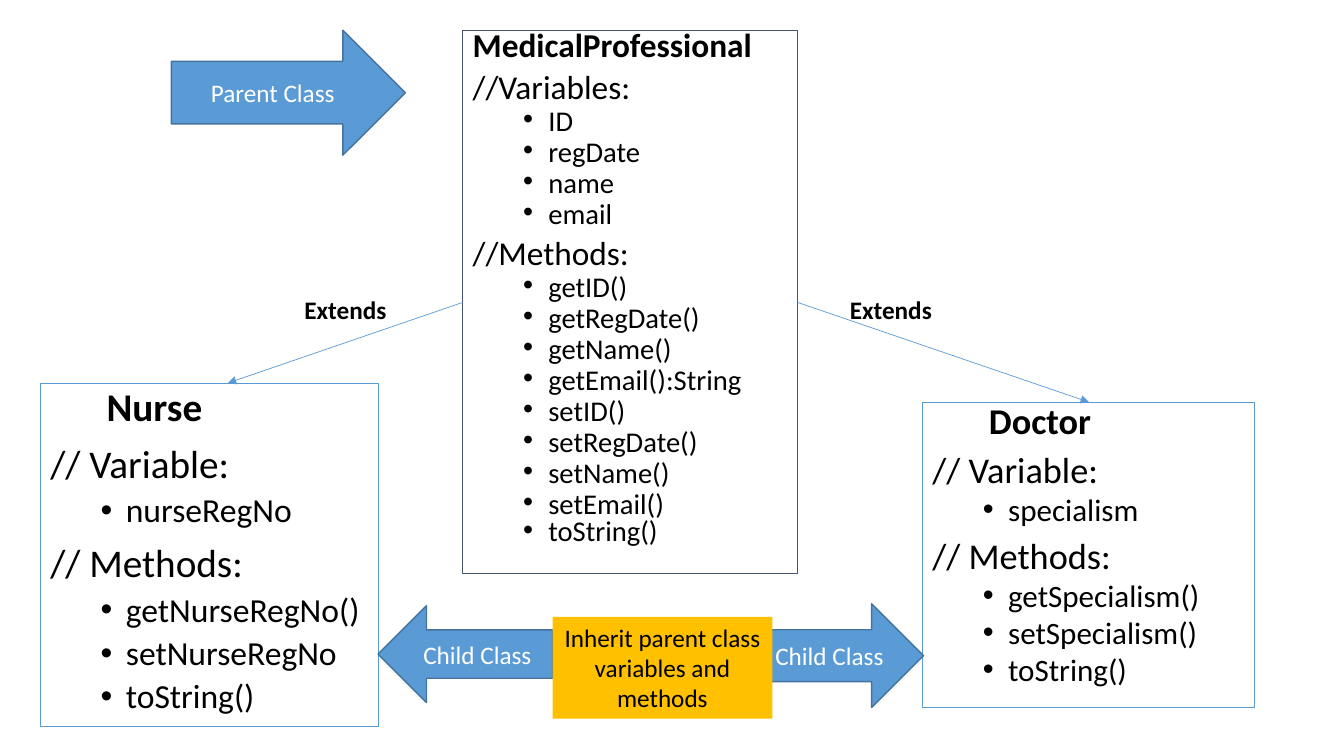
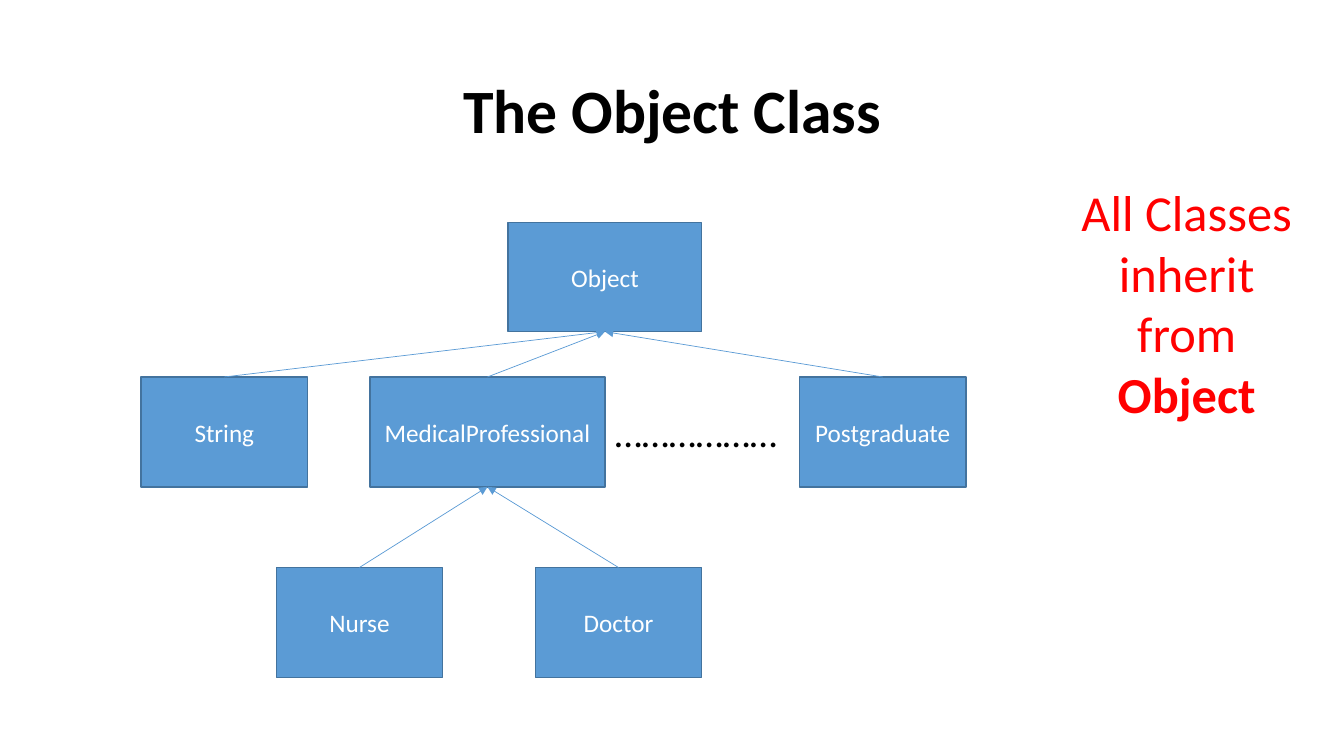
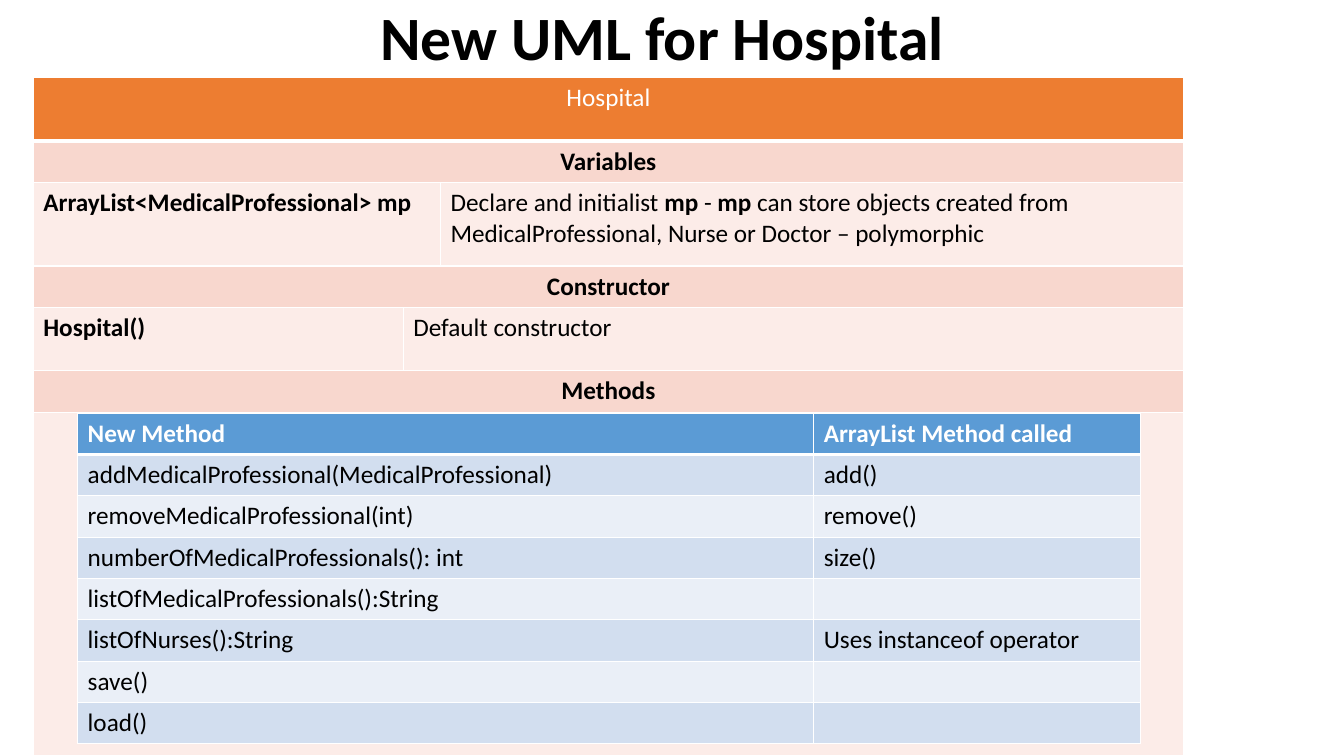
"""Build three slides on class inheritance in a hospital example."""
from dataclasses import dataclass

from pptx import Presentation
from pptx import util as u
from pptx.dml import color
from pptx.enum import shapes, text
from pptx.oxml import ns, xmlchemy


@dataclass(frozen=True)
class Theme:
    font: str = "Calibri"
    black: str = "000000"
    white: str = "FFFFFF"
    red: str = "FF0000"
    amber: str = "FFC000"
    blue: str = "5B9BD5"
    blue_edge: str = "43739E"
    slate: str = "44546A"
    blue_bands: tuple = ("D2DEEF", "EAEFF7")
    orange: str = "ED7D31"
    orange_bands: tuple = ("F8D7CE", "FCECE8")
    title: float = 44
    callout: float = 36
    heading: float = 28
    body: float = 18


THEME = Theme()
CENTER = text.PP_ALIGN.CENTER
MIDDLE = text.MSO_ANCHOR.MIDDLE
TOP = text.MSO_ANCHOR.TOP
SHAPE = shapes.MSO_SHAPE


def rgb(value):
    return color.RGBColor.from_string(value)


def add_xml(parent, tag, **attributes):
    element = xmlchemy.OxmlElement(tag)
    for name, value in attributes.items():
        element.set(name, str(value))
    parent.append(element)
    return element


class Deck:
    def __init__(self, theme):
        self.theme = theme
        self.presentation = Presentation()
        self.presentation.slide_width = u.Inches(13.33)
        self.presentation.slide_height = u.Inches(7.5)
        self.slide = None

    def new_slide(self):
        layout = self.presentation.slide_layouts[6]
        self.slide = self.presentation.slides.add_slide(layout)

    def add_text(self, paragraph, content, size=None, ink=None, bold=False, align=None):
        """Add content, where parts between asterisks are bold."""
        paragraph.alignment = align
        for index, part in enumerate(content.split("*")):
            if part:
                run = paragraph.add_run()
                run.text = part
                run.font.name = self.theme.font
                run.font.size = u.Pt(size or self.theme.body)
                run.font.bold = bold or index % 2 == 1
                run.font.color.rgb = rgb(ink or self.theme.black)

    def label(self, place, content, anchor=TOP, wrap=True, spacing=None, **style):
        box = self.slide.shapes.add_textbox(*map(u.Inches, place))
        frame = box.text_frame
        frame.word_wrap = wrap
        frame.vertical_anchor = anchor
        paragraph = frame.paragraphs[0]
        paragraph.line_spacing = spacing
        self.add_text(paragraph, content, **style)

    def title(self, place, content):
        self.label(place, content, MIDDLE, spacing=0.9,
                   size=self.theme.title, bold=True, align=CENTER)

    def shape(self, kind, place, fill=None, edge=None, width=1, anchor=MIDDLE):
        shape = self.slide.shapes.add_shape(kind, *map(u.Inches, place))
        shape.shadow.inherit = False
        if fill:
            shape.fill.solid()
            shape.fill.fore_color.rgb = rgb(fill)
        else:
            shape.fill.background()
        if edge:
            shape.line.color.rgb = rgb(edge)
            shape.line.width = u.Pt(width)
        else:
            shape.line.fill.background()
        shape.text_frame.word_wrap = True
        shape.text_frame.vertical_anchor = anchor
        return shape

    def node(self, place, content, kind=SHAPE.RECTANGLE):
        shape = self.shape(kind, place, self.theme.blue, self.theme.blue_edge)
        self.add_text(shape.text_frame.paragraphs[0], content,
                      ink=self.theme.white, align=CENTER)
        return shape

    def note(self, place, content):
        shape = self.shape(SHAPE.RECTANGLE, place, self.theme.amber, anchor=TOP)
        self.add_text(shape.text_frame.paragraphs[0], content, align=CENTER)

    def class_box(self, place, name, sections, size, spacing, edge, name_indent=0):
        """Draw a class with its name, then headed lists of members."""
        frame = self.shape(SHAPE.RECTANGLE, place, None, edge, 0.75, TOP).text_frame

        def line(paragraph, content, points, before, bold=False):
            paragraph.line_spacing = spacing
            paragraph.space_before = u.Pt(before)
            self.add_text(paragraph, content, points, bold=bold,
                          align=text.PP_ALIGN.LEFT)
            return paragraph._p.get_or_add_pPr()

        heading = line(frame.paragraphs[0], name, size, 10, True)
        heading.set("marL", str(u.Inches(name_indent)))
        for section, members in sections.items():
            line(frame.add_paragraph(), section, size, 10)
            for member in members:
                properties = line(frame.add_paragraph(), member,
                                  round(size * 6 / 7, 1), 5)
                properties.set("marL", str(u.Inches(0.75)))
                properties.set("indent", str(u.Inches(-0.25)))
                add_xml(properties, "a:buFont", typeface="Arial")
                add_xml(properties, "a:buChar", char="•")
        return frame

    def arrow(self, start=(0, 0), end=(0, 0)):
        connector = self.slide.shapes.add_connector(
            shapes.MSO_CONNECTOR.STRAIGHT, *map(u.Inches, (*start, *end)))
        connector.line.color.rgb = rgb(self.theme.blue)
        connector.line.width = u.Pt(0.5)
        properties = connector._element.spPr
        add_xml(properties.find(ns.qn("a:ln")), "a:tailEnd", type="triangle")
        add_xml(properties, "a:effectLst")
        return connector

    def inherit(self, child, parent):
        connector = self.arrow()
        connector.begin_connect(child, 0)
        connector.end_connect(parent, 2)

    def table(self, place, columns, rows):
        frame = self.slide.shapes.add_table(
            len(rows), len(columns), *map(u.Inches, (*place, sum(columns), sum(rows))))
        table = frame.table
        table.first_row = table.horz_banding = False
        for column, width in zip(table.columns, columns):
            column.width = u.Inches(width)
        for row, height in zip(table.rows, rows):
            row.height = u.Inches(height)
        return table

    def paint_row(self, table, index, fill):
        """Fill a row and rule it in white, heavier below the header."""
        for cell in table.rows[index].cells:
            properties = cell._tc.get_or_add_tcPr()
            for side in "LRTB":
                heavy = (index, side) in ((0, "B"), (1, "T"))
                border = add_xml(properties, f"a:ln{side}", w=u.Pt(3 if heavy else 1))
                solid = add_xml(border, "a:solidFill")
                add_xml(solid, "a:srgbClr", val=self.theme.white)
            cell.fill.solid()
            cell.fill.fore_color.rgb = rgb(fill)

    def cell_text(self, cell, content, **style):
        self.add_text(cell.text_frame.paragraphs[0], content, **style)


def inheritance_slide(deck):
    theme = deck.theme
    deck.new_slide()
    deck.class_box(
        (0.4, 3.8, 3.35, 3.41), "Nurse",
        {"// Variable:": ["nurseRegNo"],
         "// Methods:": ["getNurseRegNo()", "setNurseRegNo", "toString()"]},
        theme.heading, 0.9, theme.blue, 0.56)
    deck.class_box(
        (9.15, 3.99, 3.29, 3.03), "Doctor",
        {"// Variable:": ["specialism"],
         "// Methods:": ["getSpecialism()", "setSpecialism()", "toString()"]},
        25.9, 0.8, theme.blue, 0.56)
    parent = deck.class_box(
        (4.59, 0.3, 3.32, 5.39), "MedicalProfessional",
        {"//Variables:": ["ID", "regDate", "name", "email"],
         "//Methods:": ["getID()", "getRegDate()", "getName()", "getEmail():String",
                        "setID()", "setRegDate()", "setName()", "setEmail()",
                        "toString()"]},
        23.8, 0.7, theme.slate)
    last_member = parent.paragraphs[-1]
    last_member.line_spacing = 0.8
    last_member.space_before = u.Pt(0)

    deck.node((1.7, 0.3, 2.32, 1.24), "Parent Class", SHAPE.RIGHT_ARROW)
    deck.node((3.75, 6.01, 1.73, 0.96), "Child Class", SHAPE.LEFT_ARROW)
    deck.node((7.55, 5.99, 1.61, 1.03), "Child Class", SHAPE.RIGHT_ARROW)
    deck.arrow((4.59, 3), (2.26, 3.8))
    deck.arrow((7.91, 3), (10.8, 3.99))
    for left in (2.92, 8.33):
        deck.label((left, 2.87, 1.02, 0.4), "Extends", wrap=False, bold=True)
    deck.note((5.48, 6.12, 2.18, 1.01), "Inherit parent class variables and methods")


def object_slide(deck):
    theme = deck.theme
    deck.new_slide()
    deck.title((0.92, 0.4, 11.5, 1.45), "The Object Class")
    deck.label((6, 4.05, 2.14, 0.69), "………………", spacing=0.9, size=theme.heading)
    root = deck.node((5.04, 2.21, 1.92, 1.08), "Object")
    children = {
        name: deck.node((left, 3.74, width, 1.09), name)
        for name, left, width in (("String", 1.4, 1.65),
                                  ("MedicalProfessional", 3.67, 2.33),
                                  ("Postgraduate", 7.93, 1.65))}
    grandchildren = [deck.node((left, 5.63, 1.65, 1.09), name)
                     for name, left in (("Nurse", 2.74), ("Doctor", 5.31))]
    for child in children.values():
        deck.inherit(child, root)
    for grandchild in grandchildren:
        deck.inherit(grandchild, children["MedicalProfessional"])
    deck.label((10.55, 1.75, 2.44, 2.52), "All Classes inherit from *Object*",
               size=theme.callout, ink=theme.red, align=CENTER)


def hospital_slide(deck):
    theme = deck.theme
    deck.new_slide()
    deck.title((0.82, 0.05, 11.5, 0.7), "New UML for Hospital")

    hospital = deck.table((0.33, 0.77), (3.67, 0.37, 7.37),
                          (0.63, 0.41, 0.83, 0.41, 0.63, 0.41, 3.41))
    deck.paint_row(hospital, 0, theme.orange)
    for index in range(1, 7):
        deck.paint_row(hospital, index, theme.orange_bands[(index - 1) % 2])
    for first, last in (((0, 0), (0, 2)), ((1, 0), (1, 2)), ((2, 0), (2, 1)),
                        ((3, 0), (3, 2)), ((4, 1), (4, 2)), ((5, 0), (5, 2)),
                        ((6, 0), (6, 2))):
        hospital.cell(*first).merge(hospital.cell(*last))
    deck.cell_text(hospital.cell(0, 0), "Hospital", ink=theme.white, align=CENTER)
    for row, name in ((1, "Variables"), (3, "Constructor"), (5, "Methods")):
        deck.cell_text(hospital.cell(row, 0), name, bold=True, align=CENTER)
    for row, column, content in (
            (2, 0, "*ArrayList<MedicalProfessional> mp*"),
            (2, 2, "Declare and initialist *mp* - *mp* can store objects created from "
                   "MedicalProfessional, Nurse or Doctor – polymorphic"),
            (4, 0, "*Hospital()*"),
            (4, 1, "Default constructor")):
        deck.cell_text(hospital.cell(row, column), content)

    calls = (("New Method", "ArrayList Method called"),
             ("addMedicalProfessional(MedicalProfessional)", "add()"),
             ("removeMedicalProfessional(int)", "remove()"),
             ("numberOfMedicalProfessionals(): int", "size()"),
             ("listOfMedicalProfessionals():String", ""),
             ("listOfNurses():String", "Uses instanceof operator"),
             ("save()", ""),
             ("load()", ""))
    methods = deck.table((0.77, 4.1), (7.3, 3.24), [0.41] * len(calls))
    for index, contents in enumerate(calls):
        header = index == 0
        fill = theme.blue if header else theme.blue_bands[(index - 1) % 2]
        deck.paint_row(methods, index, fill)
        for cell, content in zip(methods.rows[index].cells, contents):
            deck.cell_text(cell, content, bold=header,
                           ink=theme.white if header else theme.black)


def main():
    deck = Deck(THEME)
    inheritance_slide(deck)
    object_slide(deck)
    hospital_slide(deck)
    deck.presentation.save("out.pptx")


if __name__ == "__main__":
    main()
